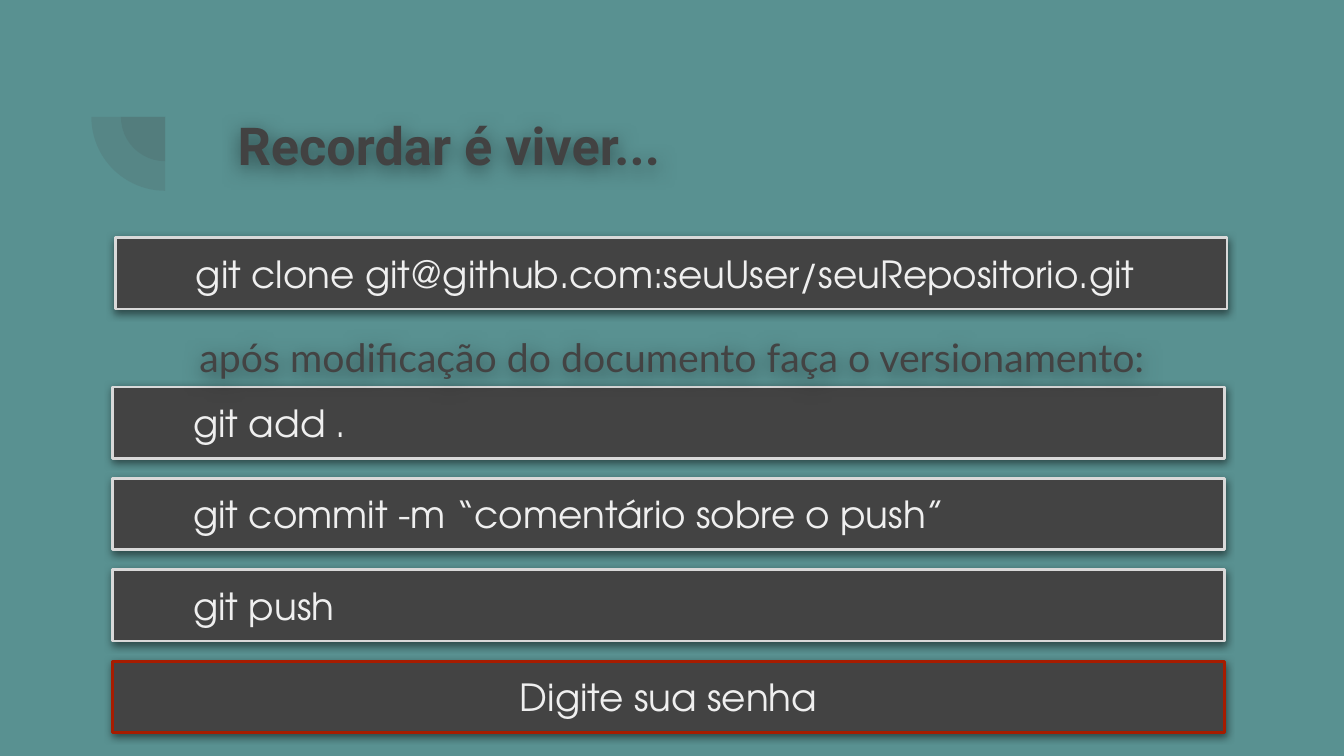
import pptx
import pptx.util
import pptx.dml.color
import pptx.enum.shapes
import pptx.enum.text
import pptx.oxml.ns
from lxml import etree

Inches, Pt = pptx.util.Inches, pptx.util.Pt
RGBColor = pptx.dml.color.RGBColor
SHAPE = pptx.enum.shapes.MSO_SHAPE
ALIGN = pptx.enum.text.PP_ALIGN
ANCHOR = pptx.enum.text.MSO_ANCHOR
qn = pptx.oxml.ns.qn

TEAL = RGBColor(0x59, 0x91, 0x91)
DARK = RGBColor(0x42, 0x42, 0x42)
CHARCOAL = RGBColor(0x43, 0x43, 0x43)
PALE = RGBColor(0xEF, 0xEF, 0xEF)
SILVER = RGBColor(0xD9, 0xD9, 0xD9)
RED = RGBColor(0xA6, 0x1C, 0x00)
BLACK = RGBColor(0, 0, 0)

TITLE = "Recordar é viver..."
NOTE = "após modificação do documento faça o versionamento:"
CLONE = "git clone git@github.com:seuUser/seuRepositorio.git"
STEPS = ["git add .", "git commit -m “comentário sobre o push”", "git push"]
PROMPT = "Digite sua senha"

TITLE_FONT = {"name": "Roboto", "size": Pt(28), "bold": True}
NOTE_FONT = {"name": "Lato", "size": Pt(21)}
COMMAND_FONT = {"name": "TeX Gyre Adventor", "size": Pt(20)}

SLIDE_WIDTH = Inches(10)
SLIDE_HEIGHT = SLIDE_WIDTH * 9 // 16
BAR_WIDTH, BAR_HEIGHT = 8.27, 0.53
STEP_LEFT, STEP_TOP, STEP_PITCH = 0.84, 2.88, 0.68
PIE_CENTRE = (1.23, 0.87)
PIE_RADII = [0.33, 0.55]


def set_alpha(parent, color, percent):
    """Add a solid colour with the given opacity to an XML parent."""
    node = etree.SubElement(parent, qn("a:srgbClr"), val=str(color))
    etree.SubElement(node, qn("a:alpha"), val=str(percent * 1000))


def add_shadow(shape, blur, distance):
    shape.shadow.inherit = False
    effects = shape._element.spPr.find(qn("a:effectLst"))
    shadow = etree.SubElement(
        effects, qn("a:outerShdw"), blurRad=str(Pt(blur)), dist=str(Pt(distance)),
        dir="5400000", algn="bl", rotWithShape="0")
    set_alpha(shadow, BLACK, 50)


def write(shape, text, font, color, anchor, align=ALIGN.LEFT):
    """Put one formatted line in a shape and return its paragraph."""
    frame = shape.text_frame
    frame.word_wrap = True
    frame.vertical_anchor = anchor
    for side in ("left", "top", "right", "bottom"):
        setattr(frame, "margin_" + side, Inches(0.1))
    para = frame.paragraphs[0]
    para.alignment = align
    span = para.add_run()
    span.text = text
    for key, value in font.items():
        setattr(span.font, key, value)
    span.font.color.rgb = color
    return para


def add_label(page, place, *content):
    box = page.shapes.add_textbox(*map(Inches, place))
    add_shadow(box, blur=10, distance=2)
    return write(box, *content)


def add_bar(page, left, top, text, border=SILVER, align=ALIGN.LEFT):
    bar = page.shapes.add_shape(
        SHAPE.RECTANGLE, *map(Inches, (left, top, BAR_WIDTH, BAR_HEIGHT)))
    bar.fill.solid()
    bar.fill.fore_color.rgb = CHARCOAL
    bar.line.color.rgb = border
    bar.line.width = Pt(1.5)
    etree.SubElement(bar.line._get_or_add_ln(), qn("a:round"))
    add_shadow(bar, blur=4.5, distance=1.5)
    para = write(bar, text, COMMAND_FONT, PALE, ANCHOR.MIDDLE, align)
    if align == ALIGN.LEFT:
        para._p.get_or_add_pPr().set("marL", str(Inches(0.5)))


def add_quarter(page, radius):
    """Draw the lower-left quarter of a disc."""
    x, y = PIE_CENTRE
    quarter = page.shapes.add_shape(
        SHAPE.PIE, *map(Inches, (x - radius, y - radius, 2 * radius, 2 * radius)))
    quarter.adjustments[0] = 54
    quarter.adjustments[1] = 108
    quarter.shadow.inherit = False
    quarter.line.fill.background()
    quarter.fill.solid()
    quarter.fill.fore_color.rgb = DARK
    fill = quarter._element.spPr.find(qn("a:solidFill"))
    fill.remove(fill[0])
    set_alpha(fill, DARK, 13)


def main():
    deck = pptx.Presentation()
    deck.slide_width, deck.slide_height = SLIDE_WIDTH, SLIDE_HEIGHT
    page = deck.slides.add_slide(deck.slide_layouts[6])
    page.background.fill.solid()
    page.background.fill.fore_color.rgb = TEAL

    for radius in PIE_RADII:
        add_quarter(page, radius)
    add_label(page, (1.67, 0.74, 7.45, 0.82), TITLE, TITLE_FONT, DARK, ANCHOR.TOP)

    add_bar(page, 0.86, 1.77, CLONE)
    for index, command in enumerate(STEPS):
        add_bar(page, STEP_LEFT, STEP_TOP + index * STEP_PITCH, command)
    add_bar(page, STEP_LEFT, STEP_TOP + len(STEPS) * STEP_PITCH, PROMPT, RED, ALIGN.CENTER)

    note = add_label(page, (0, 2.33, 10, 0.53), NOTE, NOTE_FONT, CHARCOAL,
                     ANCHOR.TOP, ALIGN.CENTER)
    note.line_spacing = 1.15
    note.space_after = Pt(16)

    deck.save("out.pptx")


if __name__ == "__main__":
    main()
